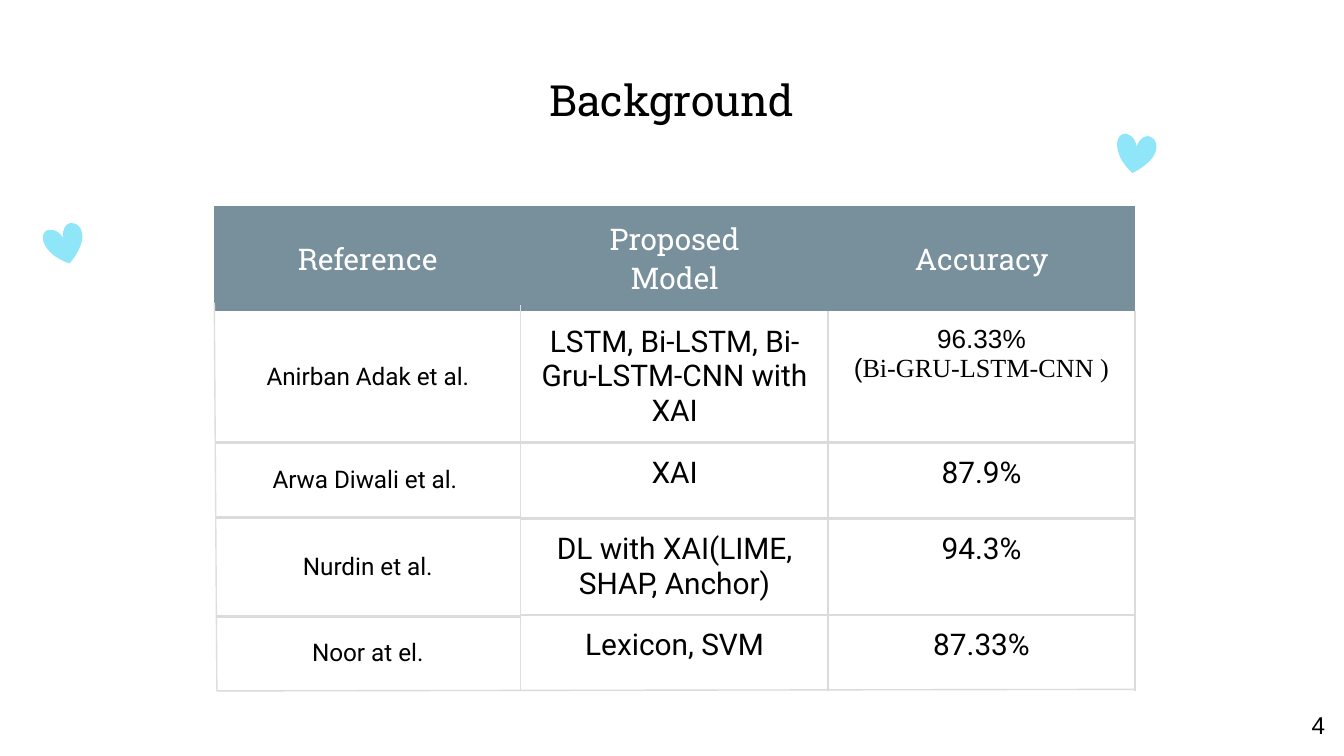
from lxml.etree import SubElement
from pptx import Presentation
from pptx.dml.color import RGBColor
from pptx.enum.shapes import MSO_CONNECTOR
from pptx.enum.text import MSO_ANCHOR, MSO_AUTO_SIZE, PP_ALIGN
from pptx.oxml import parse_xml
from pptx.oxml.ns import nsdecls, qn
from pptx.util import Cm, Pt

BLACK = RGBColor(0x00, 0x00, 0x00)
WHITE = RGBColor(0xFF, 0xFF, 0xFF)
SLATE = RGBColor(0x78, 0x90, 0x9C)
SKY = RGBColor(0x90, 0xE6, 0xF9)
RULE_GREY = RGBColor(0xDB, 0xDB, 0xDB)
SIDE_GREY = RGBColor(0xDE, 0xDE, 0xDE)

INSET = Cm(0.25)
ROW_HEIGHTS = (1.97, 2.48, 1.44, 1.82, 1.43)
HEADINGS = ("Reference", "Proposed\nModel", "Accuracy")
STUDIES = (
    ("Anirban Adak et al.", "LSTM, Bi-LSTM, Bi-Gru-LSTM-CNN with XAI", "96.33%\n("),
    ("Arwa Diwali et al. ", "XAI", "87.9%"),
    ("Nurdin et al.", "DL with XAI(LIME, SHAP, Anchor)", "94.3%"),
    ("Noor at el.", "Lexicon, SVM", "87.33%"),
)

# Heart outline on a 32 by 30 grid: start, then cubic curves
HEART_START = (24, 0)
HEART_CURVES = (
    ((24, 0), (23, 0), (22, 0)),
    ((16, 2), (17, 11), (17, 11)),
    ((17, 11), (14, 5), (8, 5)),
    ((8, 5), (7, 5), (6, 5)),
    ((0, 7), (1, 15), (7, 21)),
    ((12, 27), (22, 30), (22, 30)),
    ((22, 30), (29, 22), (31, 14)),
    ((33, 6), (29, 0), (24, 0)),
)


def write(frame, text, *, font="Roboto", size=16, color=BLACK,
          align=PP_ALIGN.CENTER, append=False):
    """Write one paragraph per line, or append a run to the last paragraph."""
    for index, line in enumerate(text.split("\n")):
        if append:
            paragraph = frame.paragraphs[-1]
        else:
            paragraph = frame.paragraphs[0] if index == 0 else frame.add_paragraph()
        paragraph.alignment = align
        run = paragraph.add_run()
        run.text = line
        run.font.name = font
        run.font.size = Pt(size)
        run.font.color.rgb = color


def set_insets(box):
    box.margin_left = box.margin_right = INSET
    box.margin_top = box.margin_bottom = INSET


def set_borders(cell, visible):
    properties = cell._tc.get_or_add_tcPr()
    for position, side in enumerate("LRTB"):
        border = parse_xml(f'<a:ln{side} {nsdecls("a")} w="{Pt(1.5)}"/>')
        if side in visible:
            fill = SubElement(border, qn("a:solidFill"))
            SubElement(fill, qn("a:srgbClr"), val=str(RULE_GREY))
        else:
            SubElement(border, qn("a:noFill"))
        properties.insert(position, border)


def add_heart(slide, left, top, width, height, rotation=0):
    def place(x, y):
        return Cm(left + x * width / 32), Cm(top + y * height / 30)

    points, start = [], HEART_START
    for first, second, end in HEART_CURVES:
        for step in range(1, 9):
            t = step / 8
            weights = ((1 - t) ** 3, 3 * t * (1 - t) ** 2, 3 * t * t * (1 - t), t ** 3)
            corners = (start, first, second, end)
            points.append(place(*(sum(w * c[axis] for w, c in zip(weights, corners))
                                  for axis in (0, 1))))
        start = end
    builder = slide.shapes.build_freeform(*place(*HEART_START))
    builder.add_line_segments(points, close=True)
    heart = builder.convert_to_shape()
    heart.shadow.inherit = False
    heart.fill.solid()
    heart.fill.fore_color.rgb = SKY
    heart.line.fill.background()
    heart.rotation = rotation


def add_title(slide, left, top, width, height):
    title = slide.shapes.title
    title.left, title.top, title.width, title.height = map(Cm, (left, top, width, height))
    frame = title.text_frame
    set_insets(frame)
    frame.word_wrap = True
    frame.auto_size = MSO_AUTO_SIZE.NONE
    frame.vertical_anchor = MSO_ANCHOR.MIDDLE
    write(frame, "Background", font="Roboto Slab", size=23)


def add_studies_table(slide, left, top, width):
    rows, columns = len(ROW_HEIGHTS), len(HEADINGS)
    table = slide.shapes.add_table(rows, columns, Cm(left), Cm(top),
                                   Cm(width), Cm(sum(ROW_HEIGHTS))).table
    table.first_row = table.horz_banding = False
    for row, height in zip(table.rows, ROW_HEIGHTS):
        row.height = Cm(height)
    for column in table.columns:
        column.width = Cm(width / columns)

    for r, texts in enumerate((HEADINGS, *STUDIES)):
        for c, text in enumerate(texts):
            cell = table.cell(r, c)
            set_insets(cell)
            header, reference = r == 0, c == 0
            cell.vertical_anchor = (MSO_ANCHOR.MIDDLE if header or reference
                                    else MSO_ANCHOR.TOP)
            borders = ""
            if header:
                cell.fill.solid()
                cell.fill.fore_color.rgb = SLATE
                write(cell.text_frame, text, font="Roboto Slab", color=WHITE)
            else:
                cell.fill.background()
                if reference:
                    write(cell.text_frame, text, size=13)
                elif (r, c) == (1, 2):
                    write(cell.text_frame, text, font="Arial", size=14)
                    write(cell.text_frame, "Bi-GRU-LSTM-CNN )",
                          font="Times New Roman", size=14, append=True)
                else:
                    write(cell.text_frame, text)
                if not reference:
                    borders = ("R" + "L" * (c == 2) + "T" * (r > 1)
                               + "B" * (r < rows - 1))
            set_borders(cell, borders)


def add_rule(slide, start, end, color, weight):
    rule = slide.shapes.add_connector(MSO_CONNECTOR.STRAIGHT, *map(Cm, (*start, *end)))
    rule.line.color.rgb = color
    rule.line.width = Pt(weight)
    SubElement(rule._element.spPr, qn("a:effectLst"))


def add_reference_rules(slide, left, inner, right, bottom):
    # Outer edges and the first column's divider
    add_rule(slide, (inner, bottom), (inner, 5.77), SIDE_GREY, 0.75)
    add_rule(slide, (right, bottom - 0.03), (left + 0.05, bottom), RULE_GREY, 0.75)
    add_rule(slide, (left, 5.72), (left + 0.05, bottom), SIDE_GREY, 0.75)
    # Lines between the references
    for y in (8.36, 9.78, 11.66):
        add_rule(slide, (inner, y), (left + 0.03, y), RULE_GREY, 1.5)


def add_page_number(slide, left, top, width, height):
    frame = slide.shapes.add_textbox(*map(Cm, (left, top, width, height))).text_frame
    frame.word_wrap = True
    set_insets(frame)
    write(frame, "4", font="Arial", size=13, align=PP_ALIGN.RIGHT)


def main():
    deck = Presentation()
    deck.slide_width, deck.slide_height = Cm(25.4), Cm(14.29)
    slide = deck.slides.add_slide(deck.slide_layouts[5])
    add_heart(slide, 0.76, 4.22, 0.81, 0.76)
    add_heart(slide, 21.01, 2.49, 0.81, 0.76, rotation=23.6)
    add_studies_table(slide, 4.05, 3.9, 17.4)
    add_title(slide, 1.98, 1.52, 21.44, 0.71)
    add_reference_rules(slide, 4.05, 9.84, 21.43, 13.06)
    add_page_number(slide, 23.77, 13.18, 1.52, 1.09)
    deck.save("out.pptx")


if __name__ == "__main__":
    main()
